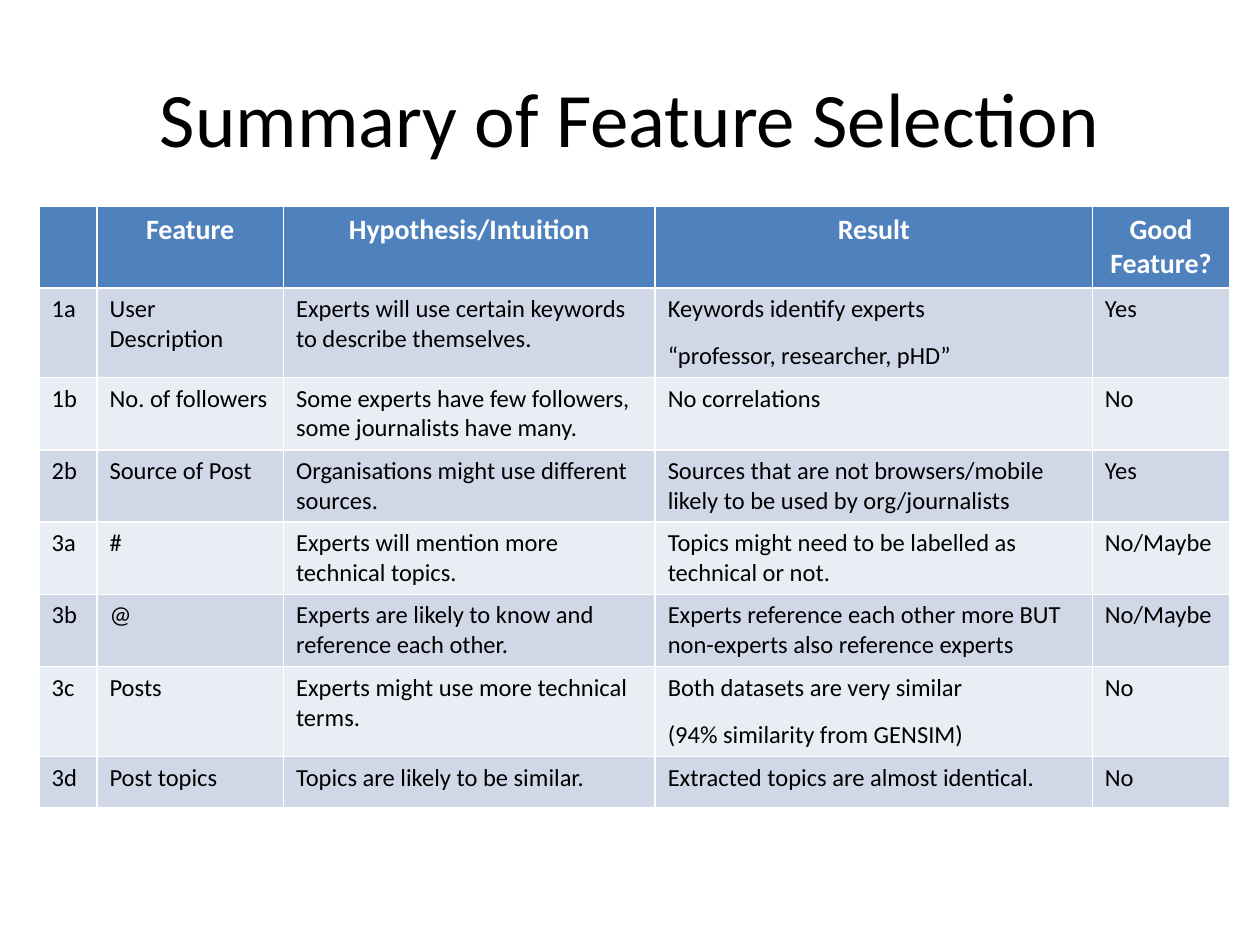
"""Build a slide that summarises feature selection in a table."""
from pptx import Presentation
from pptx.dml.color import RGBColor
from pptx.enum.text import MSO_ANCHOR, PP_ALIGN
from pptx.util import Inches, Pt

TITLE = "Summary of Feature Selection"
HEADER = ("", "Feature", "Hypothesis/Intuition", "Result", "Good Feature?")
FEATURES = [
    ("1a", "User Description", "Experts will use certain keywords to describe themselves.",
     "Keywords identify experts\n“professor, researcher, pHD”", "Yes"),
    ("1b", "No. of followers", "Some experts have few followers, some journalists have many.",
     "No correlations", "No"),
    ("2b", "Source of Post", "Organisations might use different sources.",
     "Sources that are not browsers/mobile likely to be used by org/journalists", "Yes"),
    ("3a", "#", "Experts will mention more technical topics.",
     "Topics might need to be labelled as technical or not.", "No/Maybe"),
    ("3b", "@", "Experts are likely to know and reference each other.",
     "Experts reference each other more BUT non-experts also reference experts", "No/Maybe"),
    ("3c", "Posts", "Experts might use more technical terms.",
     "Both datasets are very similar\n(94% similarity from GENSIM)", "No"),
    ("3d", "Post topics", "Topics are likely to be similar.",
     "Extracted topics are almost identical.", "No"),
]
COLUMN_WIDTHS = (0.46, 1.48, 2.95, 3.47, 1.09)
ROW_HEIGHT = 0.41
HEADER_FILL = "4F81BD"
BAND_FILLS = ("D0D8E8", "E9EDF4")
TITLE_FONT = {"name": "Calibri", "size": Pt(44), "bold": False}
HEADER_FONT = {"name": "Calibri", "size": Pt(16), "bold": True}
BODY_FONT = {"name": "Calibri", "size": Pt(14), "bold": False}


def color(value):
    """Turn a hex string into a colour."""
    return RGBColor.from_string(value)


def write_text(text_frame, text, font, font_color, alignment):
    """Write formatted paragraphs into a text frame."""
    text_frame.text = text
    for paragraph in text_frame.paragraphs:
        paragraph.alignment = alignment
        paragraph.space_after = Pt(10)
        for name, value in font.items():
            setattr(paragraph.font, name, value)
            for run in paragraph.runs:
                setattr(run.font, name, value)
        for run in paragraph.runs:
            run.font.color.rgb = color(font_color)


def add_feature_table(slide):
    """Add the table with a header and banded rows."""
    rows = [HEADER, *FEATURES]
    table = slide.shapes.add_table(
        len(rows), len(HEADER), Inches(0.31), Inches(1.64),
        Inches(sum(COLUMN_WIDTHS)), Inches(ROW_HEIGHT * len(rows))).table
    for column, width in zip(table.columns, COLUMN_WIDTHS):
        column.width = Inches(width)
    for row_index, (row, texts) in enumerate(zip(table.rows, rows)):
        row.height = Inches(ROW_HEIGHT)
        if row_index == 0:
            fill, style = HEADER_FILL, (HEADER_FONT, "FFFFFF", PP_ALIGN.CENTER)
        else:
            fill = BAND_FILLS[(row_index - 1) % 2]
            style = (BODY_FONT, "000000", PP_ALIGN.LEFT)
        for cell, text in zip(row.cells, texts):
            cell.fill.solid()
            cell.fill.fore_color.rgb = color(fill)
            write_text(cell.text_frame, text, *style)


def main():
    """Create and save the presentation."""
    presentation = Presentation()
    presentation.slide_width, presentation.slide_height = Inches(10), Inches(7.5)
    slide = presentation.slides.add_slide(presentation.slide_layouts[5])
    title = slide.shapes.title
    title.left, title.top, title.width, title.height = map(Inches, (0.5, 0.3, 9, 1.25))
    title.text_frame.vertical_anchor = MSO_ANCHOR.MIDDLE
    write_text(title.text_frame, TITLE, TITLE_FONT, "000000", PP_ALIGN.CENTER)
    title.text_frame.paragraphs[0].space_after = Pt(0)
    add_feature_table(slide)
    presentation.save("out.pptx")


if __name__ == "__main__":
    main()
